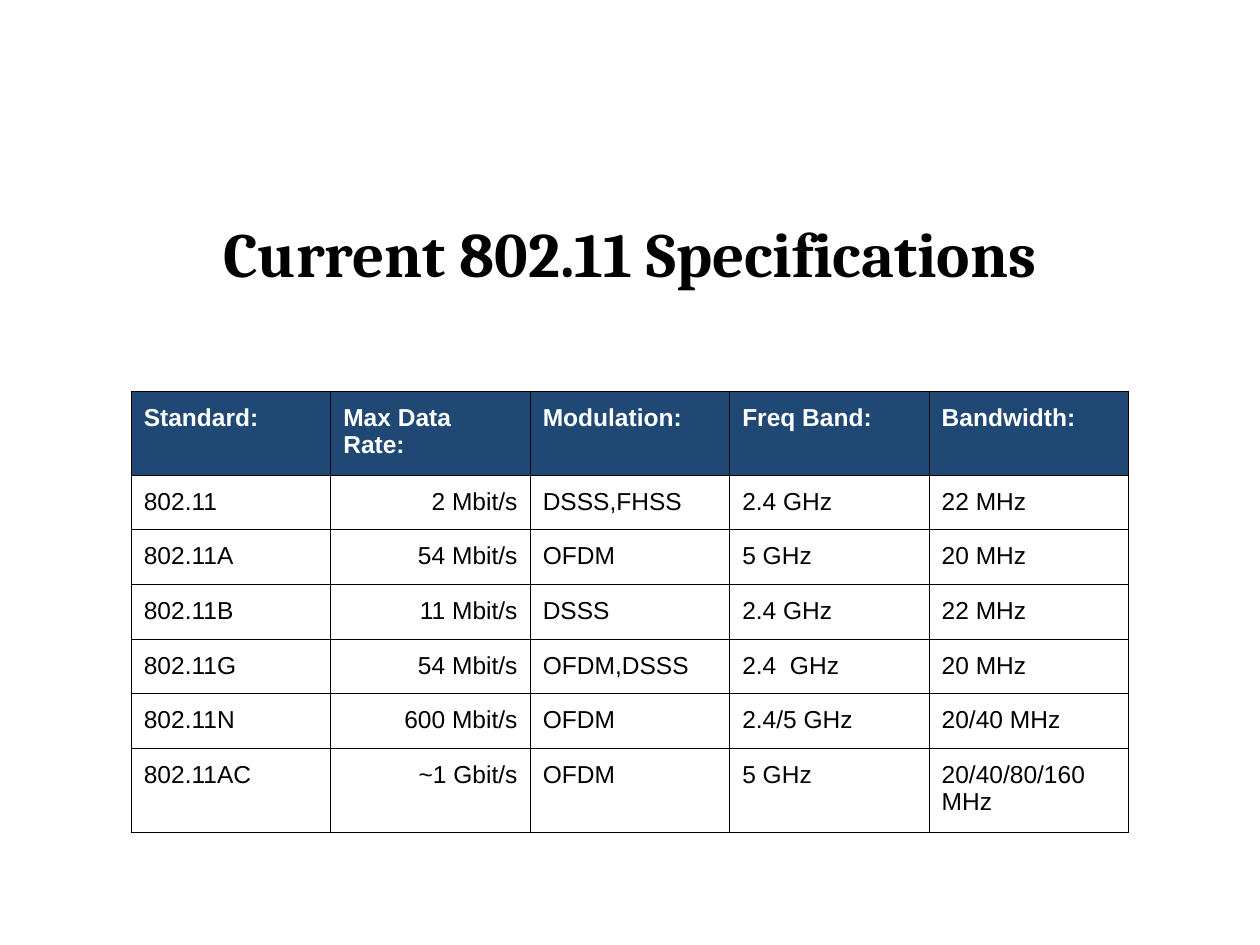
from lxml import etree
from pptx import Presentation
from pptx.dml.color import RGBColor
from pptx.enum.text import MSO_ANCHOR, PP_ALIGN
from pptx.oxml.ns import qn
from pptx.util import Pt

LEFT, CENTER, RIGHT = PP_ALIGN.LEFT, PP_ALIGN.CENTER, PP_ALIGN.RIGHT
MIDDLE, TOP = MSO_ANCHOR.MIDDLE, MSO_ANCHOR.TOP

# Content
TITLE = "Current 802.11 Specifications"
HEADER = ("Standard:", "Max Data Rate:", "Modulation:", "Freq Band:", "Bandwidth:")
STANDARDS = [
    ("802.11", "2 Mbit/s", "DSSS,FHSS", "2.4 GHz", "22 MHz"),
    ("802.11A", "54 Mbit/s", "OFDM", "5 GHz", "20 MHz"),
    ("802.11B", "11 Mbit/s", "DSSS", "2.4 GHz", "22 MHz"),
    ("802.11G", "54 Mbit/s", "OFDM,DSSS", "2.4  GHz", "20 MHz"),
    ("802.11N", "600 Mbit/s", "OFDM", "2.4/5 GHz", "20/40 MHz"),
    ("802.11AC", "~1 Gbit/s", "OFDM", "5 GHz", "20/40/80/160  MHz"),
]
RATE_COLUMN = 1

# Theme and layout, lengths in points
THEME = {
    "title": {"name": "Cambria", "size": Pt(36), "bold": True, "color": "000000"},
    "header": {"name": "Arial", "size": Pt(14), "bold": True, "color": "FFFFFF"},
    "body": {"name": "Arial", "size": Pt(14), "bold": False, "color": "000000"},
    "header_fill": "1F4874",
    "border": "000000",
}
PAGE_SIZE = (720, 540)
TITLE_BOX = (54, 126, 612, 36)
TABLE_LEFT, TABLE_TOP = 75, 223.5
COLUMN_WIDTH, ROW_HEIGHT = 114, 30
BORDER_WIDTH, INSET = 0.75, 7.2


def set_margins(holder):
    for side in ("left", "top", "right", "bottom"):
        setattr(holder, f"margin_{side}", Pt(INSET))


def write(frame, text, style, align):
    para = frame.paragraphs[0]
    para.alignment = align
    span = para.add_run()
    span.text = text
    for key, value in THEME[style].items():
        if key == "color":
            span.font.color.rgb = RGBColor.from_string(value)
        else:
            setattr(span.font, key, value)


def add_borders(cell):
    properties = cell._tc.get_or_add_tcPr()
    for position, side in enumerate(("lnL", "lnR", "lnT", "lnB")):
        line = etree.Element(qn(f"a:{side}"), w=str(Pt(BORDER_WIDTH)))
        fill = etree.SubElement(line, qn("a:solidFill"))
        etree.SubElement(fill, qn("a:srgbClr"), val=THEME["border"])
        properties.insert(position, line)


deck = Presentation()
deck.slide_width, deck.slide_height = map(Pt, PAGE_SIZE)
page = deck.slides.add_slide(deck.slide_layouts[6])

# Title
title_frame = page.shapes.add_textbox(*map(Pt, TITLE_BOX)).text_frame
title_frame.word_wrap = True
title_frame.vertical_anchor = MIDDLE
set_margins(title_frame)
write(title_frame, TITLE, "title", CENTER)

# Table of standards
rows = [HEADER, *STANDARDS]
table = page.shapes.add_table(
    len(rows), len(HEADER), Pt(TABLE_LEFT), Pt(TABLE_TOP),
    Pt(COLUMN_WIDTH * len(HEADER)), Pt(ROW_HEIGHT * len(rows)),
).table
table.first_row = table.horz_banding = False
for column in table.columns:
    column.width = Pt(COLUMN_WIDTH)

for row_index, values in enumerate(rows):
    table.rows[row_index].height = Pt(ROW_HEIGHT)
    is_header = row_index == 0
    for column_index, text in enumerate(values):
        cell = table.cell(row_index, column_index)
        set_margins(cell)
        cell.vertical_anchor = TOP
        if is_header:
            cell.fill.solid()
            cell.fill.fore_color.rgb = RGBColor.from_string(THEME["header_fill"])
        else:
            cell.fill.background()
        add_borders(cell)
        align = RIGHT if column_index == RATE_COLUMN and not is_header else LEFT
        write(cell.text_frame, text, "header" if is_header else "body", align)

deck.save("out.pptx")
